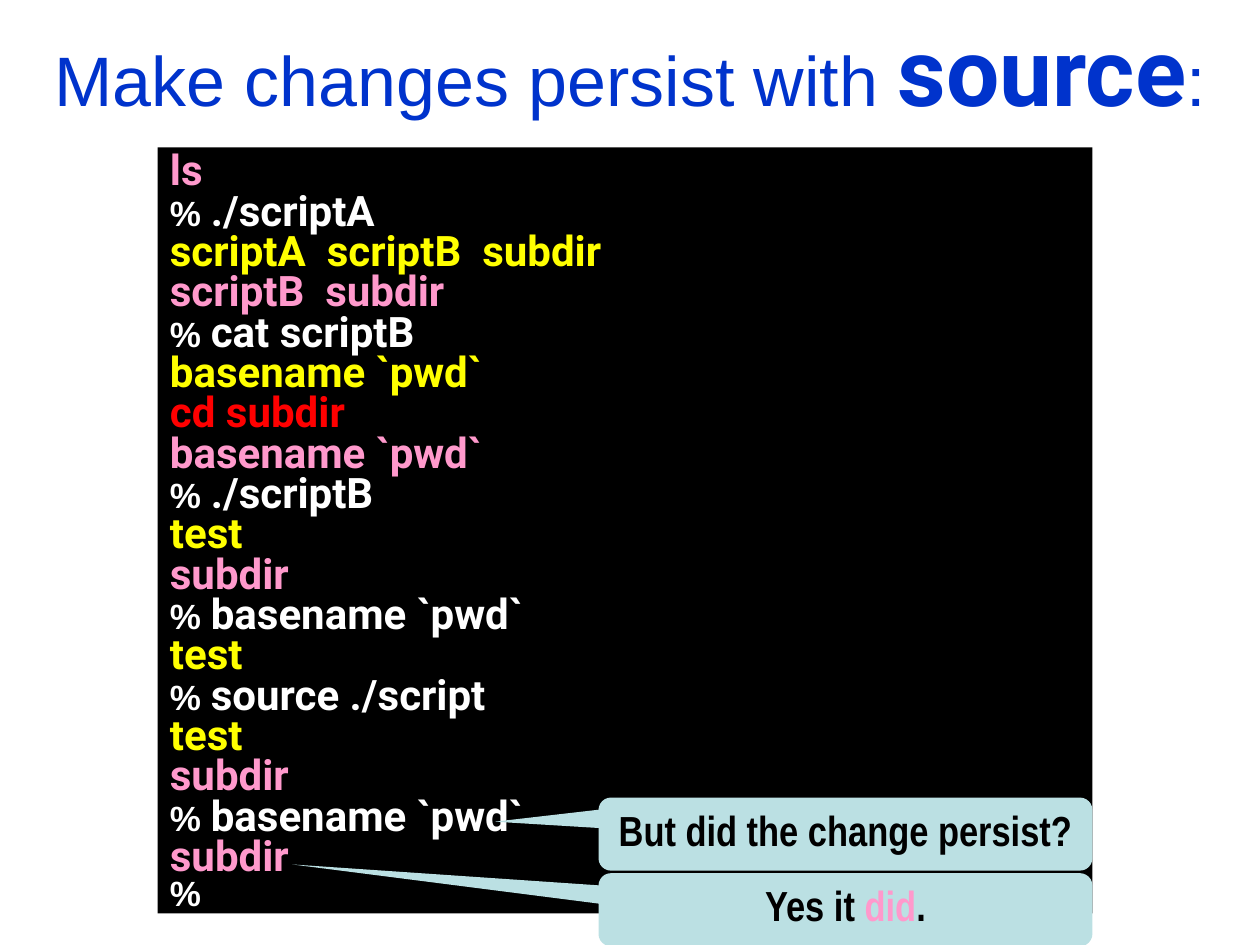
from pptx import Presentation
from pptx.dml.color import RGBColor
from pptx.enum.shapes import MSO_SHAPE
from pptx.enum.text import MSO_ANCHOR, MSO_AUTO_SIZE, PP_ALIGN
from pptx.util import Inches, Pt

COLORS = {
    "title": "0033CC", "terminal": "000000", "command": "FFFFFF",
    "first": "FFFF00", "second": "FF99CC", "change": "FF0000",
    "callout": "BBE0E3", "note": "000000",
}
FONTS = {
    "heading": {"name": "Arial", "size": Pt(40), "bold": False},
    "keyword": {"name": "Roboto", "size": Pt(54), "bold": True},
    "prompt": {"name": "Arial", "size": Pt(20), "bold": True},
    "code": {"name": "Roboto", "size": Pt(24), "bold": True},
    "note": {"name": "Arial Narrow", "size": Pt(24), "bold": True},
}
SESSION = [
    ("second", "ls"),
    ("command", "./scriptA"),
    ("first", "scriptA  scriptB  subdir"),
    ("second", "scriptB  subdir"),
    ("command", "cat scriptB"),
    ("first", "basename `pwd`"),
    ("change", "cd subdir"),
    ("second", "basename `pwd`"),
    ("command", "./scriptB"),
    ("first", "test"),
    ("second", "subdir"),
    ("command", "basename `pwd`"),
    ("first", "test"),
    ("command", "source ./script"),
    ("first", "test"),
    ("second", "subdir"),
    ("command", "basename `pwd`"),
    ("second", "subdir"),
    ("command", ""),
]
CALLOUTS = [
    ((-0.71, -0.17, 0.17), [("But did the change persist?", "note")]),
    ((-1.12, -0.62, 0.17), [("Yes it ", "note"), ("did", "second"), (".", "note")]),
]


def color(name):
    """Return the palette colour with the given name."""
    return RGBColor.from_string(COLORS[name])


def set_values(target, values):
    """Set each named attribute of the target."""
    for name, value in values.items():
        setattr(target, name, value)


def add_run(paragraph, text, font, color_name):
    """Append a run in a named font and colour."""
    run = paragraph.add_run()
    run.text = text
    set_values(run.font, FONTS[font])
    run.font.color.rgb = color(color_name)


def add_panel(slide, kind, box, fill):
    """Add a flat filled shape without an outline."""
    shape = slide.shapes.add_shape(kind, *map(Inches, box))
    shape.shadow.inherit = False
    shape.fill.solid()
    shape.fill.fore_color.rgb = color(fill)
    shape.line.fill.background()
    return shape


def fill_title(slide, box):
    """Place the title and emphasise its keyword."""
    title = slide.shapes.title
    set_values(title, dict(zip(("left", "top", "width", "height"), map(Inches, box))))
    set_values(title.text_frame, {
        "word_wrap": True, "auto_size": MSO_AUTO_SIZE.NONE,
        "vertical_anchor": MSO_ANCHOR.MIDDLE,
    })
    paragraph = title.text_frame.paragraphs[0]
    paragraph.alignment = PP_ALIGN.CENTER
    add_run(paragraph, "Make changes persist with ", "heading", "title")
    add_run(paragraph, "source", "keyword", "title")
    add_run(paragraph, ":", "heading", "title")


def add_terminal(slide, box):
    """Show the shell session in a terminal panel."""
    frame = add_panel(slide, MSO_SHAPE.RECTANGLE, box, "terminal").text_frame
    set_values(frame, {
        "word_wrap": True, "vertical_anchor": MSO_ANCHOR.TOP,
        "margin_left": Inches(0.1), "margin_right": Inches(0.1),
        "margin_top": Inches(0.05), "margin_bottom": 0,
    })
    for index, (role, text) in enumerate(SESSION):
        paragraph = frame.add_paragraph() if index else frame.paragraphs[0]
        set_values(paragraph, {"alignment": PP_ALIGN.LEFT, "line_spacing": 0.8})
        properties = paragraph._p.get_or_add_pPr()
        properties.set("marL", str(Inches(0.38)))
        properties.set("indent", str(Inches(-0.38)))
        if role == "command":
            add_run(paragraph, "% " if text else "%", "prompt", role)
        if text:
            add_run(paragraph, text, "code", role)


def add_callouts(slide, box, pitch):
    """Stack the callouts downwards from the given box."""
    left, top, width, height = box
    for index, (adjustments, runs) in enumerate(CALLOUTS):
        callout = add_panel(slide, MSO_SHAPE.ROUNDED_RECTANGULAR_CALLOUT,
                            (left, top + index * pitch, width, height), "callout")
        for position, value in enumerate(adjustments):
            callout.adjustments[position] = value
        frame = callout.text_frame
        set_values(frame, {"word_wrap": False, "vertical_anchor": MSO_ANCHOR.MIDDLE})
        paragraph = frame.paragraphs[0]
        set_values(paragraph, {"alignment": PP_ALIGN.CENTER, "line_spacing": 0.8})
        for text, color_name in runs:
            add_run(paragraph, text, "note", color_name)


def main():
    """Build and save the slide."""
    presentation = Presentation()
    set_values(presentation, {"slide_width": Inches(10), "slide_height": Inches(7.5)})
    slide = presentation.slides.add_slide(presentation.slide_layouts[5])
    fill_title(slide, (0, 0.17, 10, 0.75))
    add_terminal(slide, (1.25, 1.17, 7.42, 6.08))
    add_callouts(slide, (4.75, 6.33, 3.92, 0.58), pitch=0.6)
    presentation.save("out.pptx")


if __name__ == "__main__":
    main()
